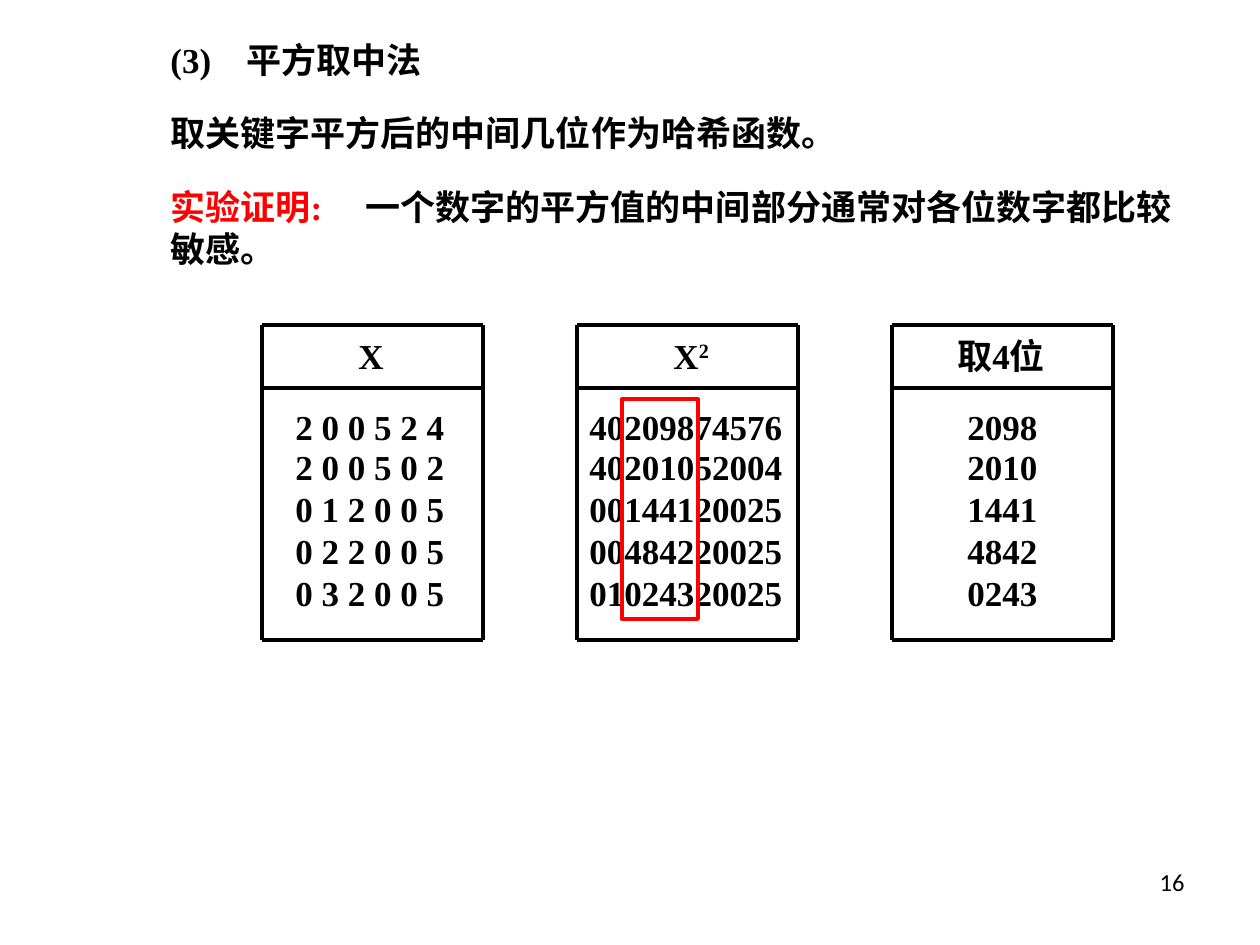
from dataclasses import dataclass

from lxml import etree
from pptx import Presentation
from pptx import util as u
from pptx.dml.color import RGBColor
from pptx.enum import shapes, text
from pptx.oxml import ns

SCALE = 914400 / 126
BLACK, RED = "000000", "FF0000"
LINE_WIDTH = u.Pt(2.25)
SERIF = {"name": "Times New Roman", "size": u.Pt(20), "bold": True}
SANS = {"name": "Calibri", "size": u.Pt(14), "bold": False}
FRAME = {
    "word_wrap": True,
    "margin_left": u.Inches(0.1),
    "margin_right": u.Inches(0.1),
    "margin_top": u.Inches(0.05),
    "margin_bottom": u.Inches(0.05),
}
LINE_HEIGHT = 55
COLUMN_LEFT, COLUMN_PITCH, COLUMN_WIDTH = 262, 315, 221
TABLE_TOP, HEADER_BOTTOM, TABLE_BOTTOM = 325, 388, 640
HEADER_TOP, HEADER_WIDTH, ROW_WIDTH = 328, 168, 262
ROW_TOPS = (399, 439, 481, 523, 565)


@dataclass(frozen=True)
class Piece:
    words: str
    color: str = BLACK
    baseline: int = 0


@dataclass(frozen=True)
class Statement:
    top: int
    width: int
    height: int
    pieces: tuple[Piece, ...]
    tab: int = 0


@dataclass(frozen=True)
class Column:
    header: tuple[Piece, ...]
    header_offset: int
    row_offset: int
    rows: tuple[str, ...]


STATEMENTS = (
    Statement(32, 494, LINE_HEIGHT, (Piece("(3)\t平方取中法"),), 76),
    Statement(105, 966, LINE_HEIGHT, (Piece("取关键字平方后的中间几位作为哈希函数。"),)),
    Statement(179, 1029, 97, (
        Piece("实验证明:\t", RED),
        Piece("一个数字的平方值的中间部分通常对各位数字都比较敏感。"),
    ), 195),
)
COLUMNS = (
    Column((Piece("X"),), 84, 21,
           ("2 0 0 5 2 4", "2 0 0 5 0 2", "0 1 2 0 0 5", "0 2 2 0 0 5", "0 3 2 0 0 5")),
    Column((Piece("X"), Piece("2", baseline=30000)), 84, 0,
           ("40209874576", "40201052004", "00144120025", "00484220025", "01024320025")),
    Column((Piece("取4位"),), 53, 63, ("2098", "2010", "1441", "4842", "0243")),
)


def px(length: int) -> int:
    return round(length * SCALE)


def paint(value: str) -> RGBColor:
    return RGBColor.from_string(value)


def apply(target, values: dict) -> None:
    for name, value in values.items():
        setattr(target, name, value)


def add_text(parent, left: int, top: int, width: int, height: int,
             pieces: tuple[Piece, ...], style: dict = SERIF, tab: int = 0,
             align=text.PP_ALIGN.LEFT, fit=text.MSO_AUTO_SIZE.SHAPE_TO_FIT_TEXT) -> None:
    box = parent.add_textbox(px(left), px(top), px(width), px(height))
    apply(box.text_frame, FRAME | {"auto_size": fit})
    para = box.text_frame.paragraphs[0]
    para.alignment = align
    if tab:
        stops = etree.SubElement(para._p.get_or_add_pPr(), ns.qn("a:tabLst"))
        etree.SubElement(stops, ns.qn("a:tab"), pos=str(px(tab)), algn="l")
    for piece in pieces:
        span = para.add_run()
        span.text = piece.words
        apply(span.font, style)
        span.font.color.rgb = paint(piece.color)
        if piece.baseline:
            span._r.get_or_add_rPr().set("baseline", str(piece.baseline))


def add_rule(parent, x1: int, y1: int, x2: int, y2: int) -> None:
    rule = parent.add_connector(
        shapes.MSO_CONNECTOR.STRAIGHT, px(x1), px(y1), px(x2), px(y2))
    rule.line.width = LINE_WIDTH
    rule.line.color.rgb = paint(BLACK)
    etree.SubElement(rule._element.spPr, ns.qn("a:effectLst"))


def add_column(page, left: int, column: Column) -> None:
    parent = page.shapes.add_group_shape().shapes
    right = left + COLUMN_WIDTH
    for y in (TABLE_TOP, HEADER_BOTTOM, TABLE_BOTTOM):
        add_rule(parent, left, y, right, y)
    for x in (left, right):
        add_rule(parent, x, TABLE_TOP, x, TABLE_BOTTOM)
    add_text(parent, left + column.header_offset, HEADER_TOP,
             HEADER_WIDTH, LINE_HEIGHT, column.header)
    for top, row in zip(ROW_TOPS, column.rows):
        add_text(parent, left + column.row_offset, top,
                 ROW_WIDTH, LINE_HEIGHT, (Piece(row),))


def add_highlight(page, left: int, top: int, width: int, height: int) -> None:
    box = page.shapes.add_shape(
        shapes.MSO_SHAPE.RECTANGLE, px(left), px(top), px(width), px(height))
    box.shadow.inherit = False
    box.fill.background()
    box.line.width = LINE_WIDTH
    box.line.color.rgb = paint(RED)


def main() -> None:
    deck = Presentation()
    apply(deck, {"slide_width": px(1260), "slide_height": px(945)})
    page = deck.slides.add_slide(deck.slide_layouts[6])
    for item in STATEMENTS:
        add_text(page.shapes, 158, item.top, item.width, item.height,
                 item.pieces, tab=item.tab)
    for index, column in enumerate(COLUMNS):
        add_column(page, COLUMN_LEFT + index * COLUMN_PITCH, column)
    add_highlight(page, 622, 399, 76, 220)
    add_text(page.shapes, 903, 861, 294, 66, (Piece("16"),), SANS,
             align=text.PP_ALIGN.RIGHT, fit=text.MSO_AUTO_SIZE.NONE)
    deck.save("out.pptx")


if __name__ == "__main__":
    main()
